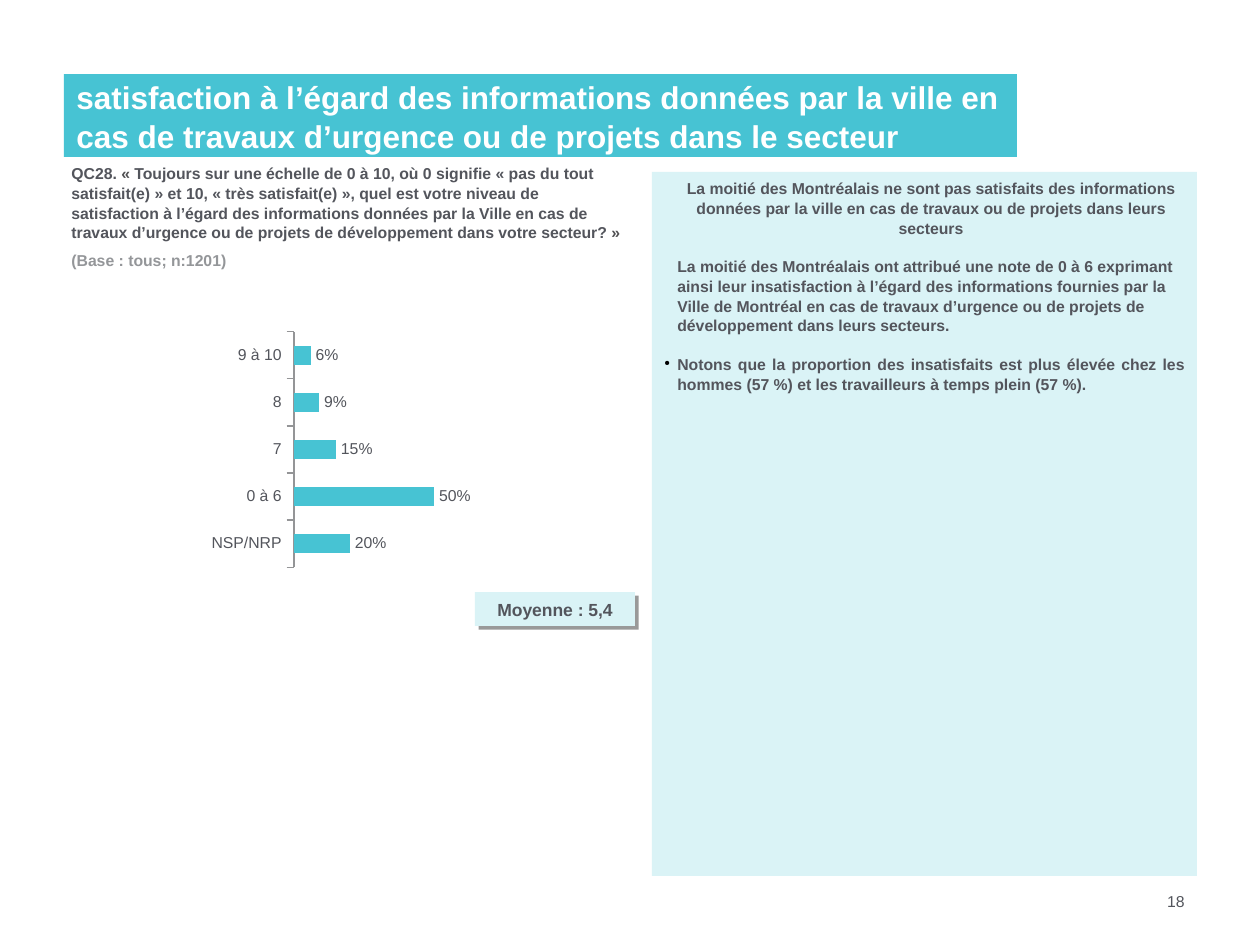
from lxml import etree
from pptx import Presentation
from pptx.chart.data import CategoryChartData
from pptx.dml.color import RGBColor
from pptx.enum.chart import XL_CHART_TYPE, XL_LABEL_POSITION, XL_TICK_LABEL_POSITION, XL_TICK_MARK
from pptx.enum.shapes import MSO_SHAPE
from pptx.enum.text import MSO_ANCHOR, PP_ALIGN
from pptx.oxml import parse_xml
from pptx.oxml.ns import nsdecls, qn
from pptx.util import Pt

BAR = XL_CHART_TYPE.BAR_CLUSTERED
OUT_END = XL_LABEL_POSITION.OUTSIDE_END
LOW = XL_TICK_LABEL_POSITION.LOW
OUT, NO_TICK = XL_TICK_MARK.OUTSIDE, XL_TICK_MARK.NONE
RECT = MSO_SHAPE.RECTANGLE
TOP, MID = MSO_ANCHOR.TOP, MSO_ANCHOR.MIDDLE
LEFT, CENTER, RIGHT, JUST = PP_ALIGN.LEFT, PP_ALIGN.CENTER, PP_ALIGN.RIGHT, PP_ALIGN.JUSTIFY

FONT = "Arial"
COLORS = {
    "teal": "47C3D3", "pale": "DAF3F6", "white": "FFFFFF", "text": "53555C",
    "quote": "4F4F51", "base": "949699", "axis": "949597", "black": "000000",
}
INDENT = 13
LEAD = 1.04


def px(n):
    return round(n * 914400 / 126)


def rgb(name):
    return RGBColor.from_string(COLORS[name])


def style(font, size, color, bold=False):
    font.name = FONT
    font.size = Pt(size)
    font.bold = bold
    font.color.rgb = rgb(color)


def add_box(slide, left, top, width, height, fill=None, anchor=TOP):
    place = [px(n) for n in (left, top, width, height)]
    if fill:
        box = slide.shapes.add_shape(RECT, *place)
        box.shadow.inherit = False
        box.fill.solid()
        box.fill.fore_color.rgb = rgb(fill)
        box.line.fill.background()
    else:
        box = slide.shapes.add_textbox(*place)
    box.text_frame.word_wrap = True
    box.text_frame.vertical_anchor = anchor
    return box


def add_text(frame, parts, size, align=LEFT, bold=True, before=0, lead=1, indent=0, bullet=False):
    fresh = not frame.text
    para = frame.paragraphs[0] if fresh else frame.add_paragraph()
    props = para._p.get_or_add_pPr()
    props.set("marL", str(px(indent)))
    props.set("indent", str(-px(indent) if bullet else 0))
    if bullet:
        for xml in (
            f'<a:buClr {nsdecls("a")}><a:srgbClr val="{COLORS["black"]}"/></a:buClr>',
            f'<a:buSzPct {nsdecls("a")} val="45000"/>',
            f'<a:buChar {nsdecls("a")} char="●"/>',
        ):
            props.append(parse_xml(xml))
    para.alignment = align
    para.line_spacing = lead
    para.space_before = Pt(0 if fresh else before)
    for text, color in parts:
        run = para.add_run()
        run.text = text
        style(run.font, size, color, bold)


def add_shade(box):
    effects = box._element.spPr.find(qn("a:effectLst"))
    effects.append(parse_xml(
        f'<a:outerShdw {nsdecls("a")} dist="38100" dir="2700000" algn="tl" rotWithShape="0">'
        f'<a:srgbClr val="{COLORS["black"]}"><a:alpha val="40000"/></a:srgbClr></a:outerShdw>'))


def set_plot(chart, left, top, width, height):
    area = chart._chartSpace.find(".//" + qn("c:plotArea"))
    for old in area.findall(qn("c:layout")):
        area.remove(old)
    layout = parse_xml(f'<c:layout {nsdecls("c")}><c:manualLayout/></c:layout>')
    rules = [("layoutTarget", "inner"), ("xMode", "edge"), ("yMode", "edge"),
             ("x", left), ("y", top), ("w", width), ("h", height)]
    for tag, value in rules:
        etree.SubElement(layout[0], qn("c:" + tag)).set("val", str(value))
    area.insert(0, layout)


def add_bars(slide, left, top, width, height):
    data = CategoryChartData(number_format="0%")
    data.categories = ["NSP/NRP", "0 à 6", "7", "8", "9 à 10"]
    data.add_series("Series 1", [0.2, 0.5, 0.15, 0.09, 0.06])
    place = [px(n) for n in (left, top, width, height)]
    chart = slide.shapes.add_chart(BAR, *place, data).chart
    chart.has_legend = False
    chart.has_title = False
    style(chart.font, 10, "black")
    set_plot(chart, 0.38, 0.08, 0.4, 0.83)

    cats = chart.category_axis
    cats.major_tick_mark = OUT
    cats.minor_tick_mark = NO_TICK
    cats.tick_label_position = LOW
    cats.format.line.color.rgb = rgb("axis")
    cats.format.line.width = Pt(0.75)
    style(cats.tick_labels.font, 9, "text")
    scale = chart.value_axis
    scale.minimum_scale, scale.maximum_scale = 0, 0.6
    scale.has_major_gridlines = False
    scale.visible = False

    plot = chart.plots[0]
    plot.gap_width = 150
    plot.vary_by_categories = False
    fill = plot.series[0].format.fill
    fill.solid()
    fill.fore_color.rgb = rgb("teal")
    plot.has_data_labels = True
    labels = plot.data_labels
    labels.show_value = True
    labels.position = OUT_END
    labels.number_format = "0%"
    labels.number_format_is_linked = False
    style(labels.font, 9, "text")


def add_panel(slide):
    frame = add_box(slide, 652, 172, 545, 704, "pale").text_frame
    notes = [
        ("La moitié des Montréalais ne sont pas satisfaits des informations données par la ville "
         "en cas de travaux ou de projets dans leurs secteurs", CENTER, False),
        ("La moitié des Montréalais ont attribué une note de 0 à 6 exprimant ainsi leur "
         "insatisfaction à l’égard des informations fournies par la Ville de Montréal en cas de "
         "travaux d’urgence ou de projets de développement dans leurs secteurs.", LEFT, False),
        ("Notons que la proportion des insatisfaits est plus élevée chez les hommes (57 %) "
         "et les travailleurs à temps plein (57 %).", JUST, True),
    ]
    for text, align, bullet in notes:
        add_text(frame, [(text, "text")], 9, align, before=10.8, lead=LEAD,
                 indent=INDENT, bullet=bullet)


def add_query(slide):
    frame = add_box(slide, 46, 157, 589, 166).text_frame
    query = [
        ("QC28. ", "text"),
        ("« ", "quote"),
        ("Toujours sur une échelle de 0 à 10, où 0 signifie « pas du tout satisfait(e) » et 10, "
         "« très satisfait(e) », quel est votre niveau de satisfaction à l’égard des "
         "informations données par la Ville en cas de travaux d’urgence ou de projets de "
         "développement dans votre secteur? ", "text"),
        ("»", "quote"),
    ]
    for parts in (query, [("(Base : tous; n:1201)", "base")]):
        add_text(frame, parts, 9, before=4.5, lead=LEAD, indent=INDENT)


def main():
    deck = Presentation()
    deck.slide_width, deck.slide_height = px(1260), px(945)
    slide = deck.slides.add_slide(deck.slide_layouts[6])
    add_panel(slide)
    number = add_box(slide, 903, 876, 294, 50, anchor=MID)
    add_text(number.text_frame, [("18", "text")], 9, RIGHT, bold=False)
    title = add_box(slide, 64, 74, 953, 83, "teal", MID)
    add_text(title.text_frame, [(
        "satisfaction à l’égard des informations données par la ville en cas de travaux "
        "d’urgence ou de projets dans le secteur", "white")], 18, lead=1.05)
    add_query(slide)
    add_bars(slide, 134, 309, 421, 284)
    mean = add_box(slide, 475, 592, 160, 34, "pale", MID)
    add_shade(mean)
    add_text(mean.text_frame, [("Moyenne : 5,4", "text")], 10, CENTER)
    deck.save("out.pptx")


if __name__ == "__main__":
    main()
